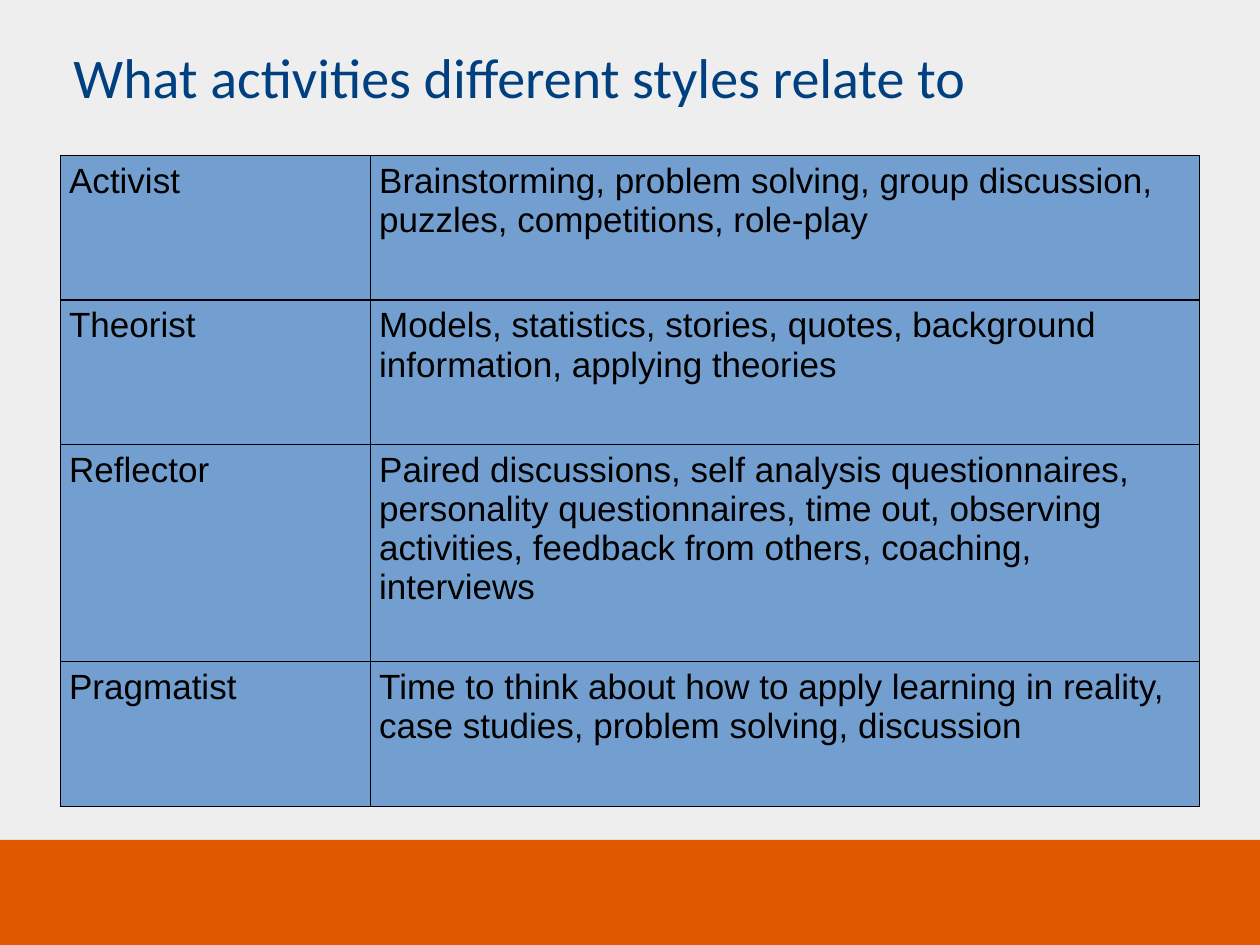
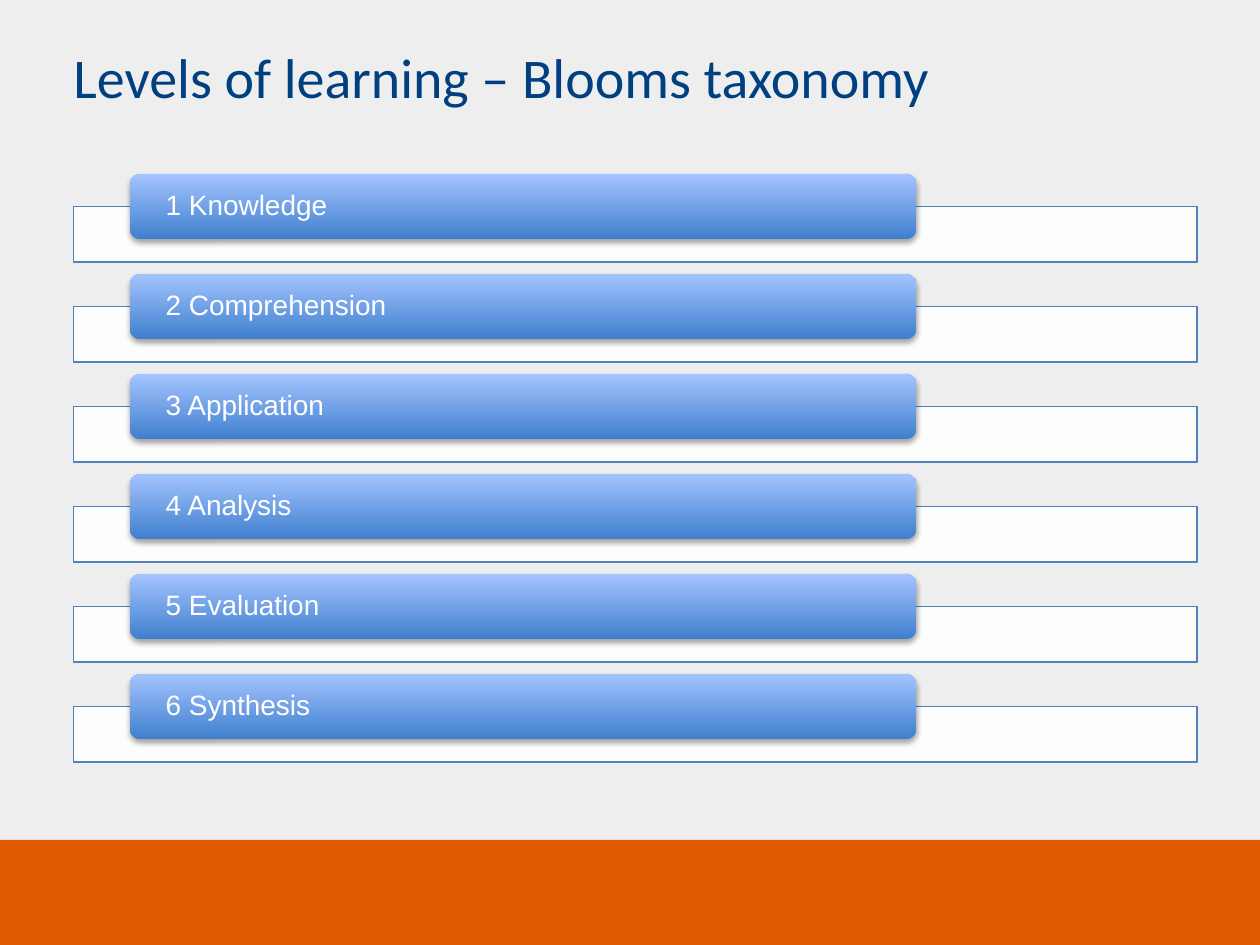
"""Build two slides on learning styles and levels of learning."""
from lxml import etree
from pptx import Presentation
from pptx.dml.color import RGBColor
from pptx.enum.shapes import MSO_SHAPE
from pptx.enum.text import MSO_ANCHOR, PP_ALIGN
from pptx.oxml.ns import qn
from pptx.util import Pt

RECTANGLE = MSO_SHAPE.RECTANGLE
ROUNDED = MSO_SHAPE.ROUNDED_RECTANGLE
MIDDLE = MSO_ANCHOR.MIDDLE
TOP = MSO_ANCHOR.TOP
LEFT = PP_ALIGN.LEFT

GREY = RGBColor(0xEE, 0xEE, 0xEE)
ORANGE = RGBColor(0xE0, 0x59, 0x01)
NAVY = RGBColor(0x00, 0x40, 0x80)
CELL_BLUE = RGBColor(0x72, 0x9F, 0xCF)
LINE_BLUE = RGBColor(0x4F, 0x81, 0xBD)
DEEP_BLUE = RGBColor(0x3F, 0x7F, 0xCE)
PALE_BLUE = RGBColor(0xA4, 0xC4, 0xFF)
BLACK = RGBColor(0x00, 0x00, 0x00)
WHITE = RGBColor(0xFF, 0xFF, 0xFF)

WIDTH, HEIGHT = 720, 540
BAND_TOP = 480
TITLE_FONT, BODY_FONT = "Calibri", "Arial"

STYLES = [
    ("Activist", "Brainstorming, problem solving, group discussion, puzzles, "
                 "competitions, role-play"),
    ("Theorist", "Models, statistics, stories, quotes, background information, "
                 "applying theories"),
    ("Reflector", "Paired discussions, self analysis questionnaires, personality "
                  "questionnaires, time out, observing activities, feedback from "
                  "others, coaching, interviews"),
    ("Pragmatist", "Time to think about how to apply learning in reality, "
                   "case studies, problem solving, discussion"),
]
COLUMN_WIDTHS = (177.2, 473.8)
ROW_HEIGHTS = (82.8, 82.8, 124, 82.8)

LEVELS = ["Knowledge", "Comprehension", "Application",
          "Analysis", "Evaluation", "Synthesis"]
LEVEL_TOP, LEVEL_PITCH = 99.4, 57.15


class Deck:
    """Hold the shared style and the current slide."""

    def __init__(self):
        self.presentation = Presentation()
        self.presentation.slide_width = Pt(WIDTH)
        self.presentation.slide_height = Pt(HEIGHT)
        self.slide = None

    def add_slide(self, title):
        self.slide = self.presentation.slides.add_slide(
            self.presentation.slide_layouts[6])
        background = self.slide.background.fill
        background.solid()
        background.fore_color.rgb = GREY
        self.box(RECTANGLE, 0, BAND_TOP, WIDTH, HEIGHT - BAND_TOP, ORANGE)
        title_box = self.slide.shapes.add_textbox(Pt(42), Pt(24), Pt(642), Pt(60))
        self.set_text(title_box.text_frame, title, TITLE_FONT, 32, NAVY)

    def set_text(self, frame, text, font, size, color, margins=(0, 0, 0, 0), anchor=TOP):
        frame.text = text
        frame.word_wrap = True
        frame.vertical_anchor = anchor
        (frame.margin_left, frame.margin_top,
         frame.margin_right, frame.margin_bottom) = map(Pt, margins)
        paragraph = frame.paragraphs[0]
        paragraph.alignment = LEFT
        self.style(paragraph, font, size, color)
        return paragraph

    def style(self, paragraph, font, size, color):
        for run in paragraph.runs:
            run.font.name = font
            run.font.size = Pt(size)
            run.font.color.rgb = color

    def box(self, kind, left, top, width, height, color=None):
        shape = self.slide.shapes.add_shape(
            kind, Pt(left), Pt(top), Pt(width), Pt(height))
        shape.shadow.inherit = False
        shape.line.fill.background()
        if color is not None:
            shape.fill.solid()
            shape.fill.fore_color.rgb = color
        return shape

    def level_frame(self, top):
        shape = self.box(RECTANGLE, 42, top, 642, 31.7, WHITE)
        shape.line.color.rgb = LINE_BLUE
        shape.line.width = Pt(0.75)
        color = shape._element.spPr.find(qn("a:solidFill"))[0]
        etree.SubElement(color, qn("a:alpha"), val="90000")

    def level_bar(self, top, text):
        shape = self.box(ROUNDED, 74.2, top, 449.4, 37.4)
        shape.adjustments[0] = 0.167
        shape.fill.gradient()
        shape.fill.gradient_angle = 90
        for stop, color in zip(shape.fill.gradient_stops, (DEEP_BLUE, PALE_BLUE)):
            stop.color.rgb = color
        self.drop_shadow(shape)
        paragraph = self.set_text(shape.text_frame, text, BODY_FONT, 16, WHITE,
                                  (18.7, 2, 17, 2), MIDDLE)
        paragraph.line_spacing = 0.9

    def drop_shadow(self, shape):
        effects = shape._element.spPr.find(qn("a:effectLst"))
        shadow = etree.SubElement(
            effects, qn("a:outerShdw"), blurRad=str(Pt(3.1)), dist=str(Pt(1.8)),
            dir="5400000", rotWithShape="0")
        color = etree.SubElement(shadow, qn("a:srgbClr"), val=str(BLACK))
        etree.SubElement(color, qn("a:alpha"), val="35000")

    def table(self, left, top, rows, column_widths, row_heights):
        table = self.slide.shapes.add_table(
            len(rows), len(column_widths), Pt(left), Pt(top),
            Pt(sum(column_widths)), Pt(sum(row_heights))).table
        table.first_row = False
        table.horz_banding = False
        for column, width in zip(table.columns, column_widths):
            column.width = Pt(width)
        for row, height, texts in zip(table.rows, row_heights, rows):
            row.height = Pt(height)
            for cell, text in zip(row.cells, texts):
                self.cell(cell, text)

    def cell(self, cell, text):
        cell.text = text
        cell.vertical_anchor = TOP
        cell.margin_left = cell.margin_right = Pt(5)
        cell.margin_top = cell.margin_bottom = Pt(3.6)
        self.style(cell.text_frame.paragraphs[0], BODY_FONT, 20, BLACK)
        properties = cell._tc.get_or_add_tcPr()
        for side in ("lnL", "lnR", "lnT", "lnB"):
            border = etree.SubElement(properties, qn(f"a:{side}"), w=str(Pt(0.75)))
            fill = etree.SubElement(border, qn("a:solidFill"))
            etree.SubElement(fill, qn("a:srgbClr"), val=str(BLACK))
        cell.fill.solid()
        cell.fill.fore_color.rgb = CELL_BLUE


def main():
    deck = Deck()

    deck.add_slide("What activities different styles relate to")
    deck.table(34.5, 88.6, STYLES, COLUMN_WIDTHS, ROW_HEIGHTS)

    deck.add_slide("Levels of learning – Blooms taxonomy")
    for index, level in enumerate(LEVELS):
        top = LEVEL_TOP + index * LEVEL_PITCH
        deck.level_frame(top + 18.7)
        deck.level_bar(top, f"{index + 1} {level}")

    deck.presentation.save("out.pptx")


if __name__ == "__main__":
    main()
